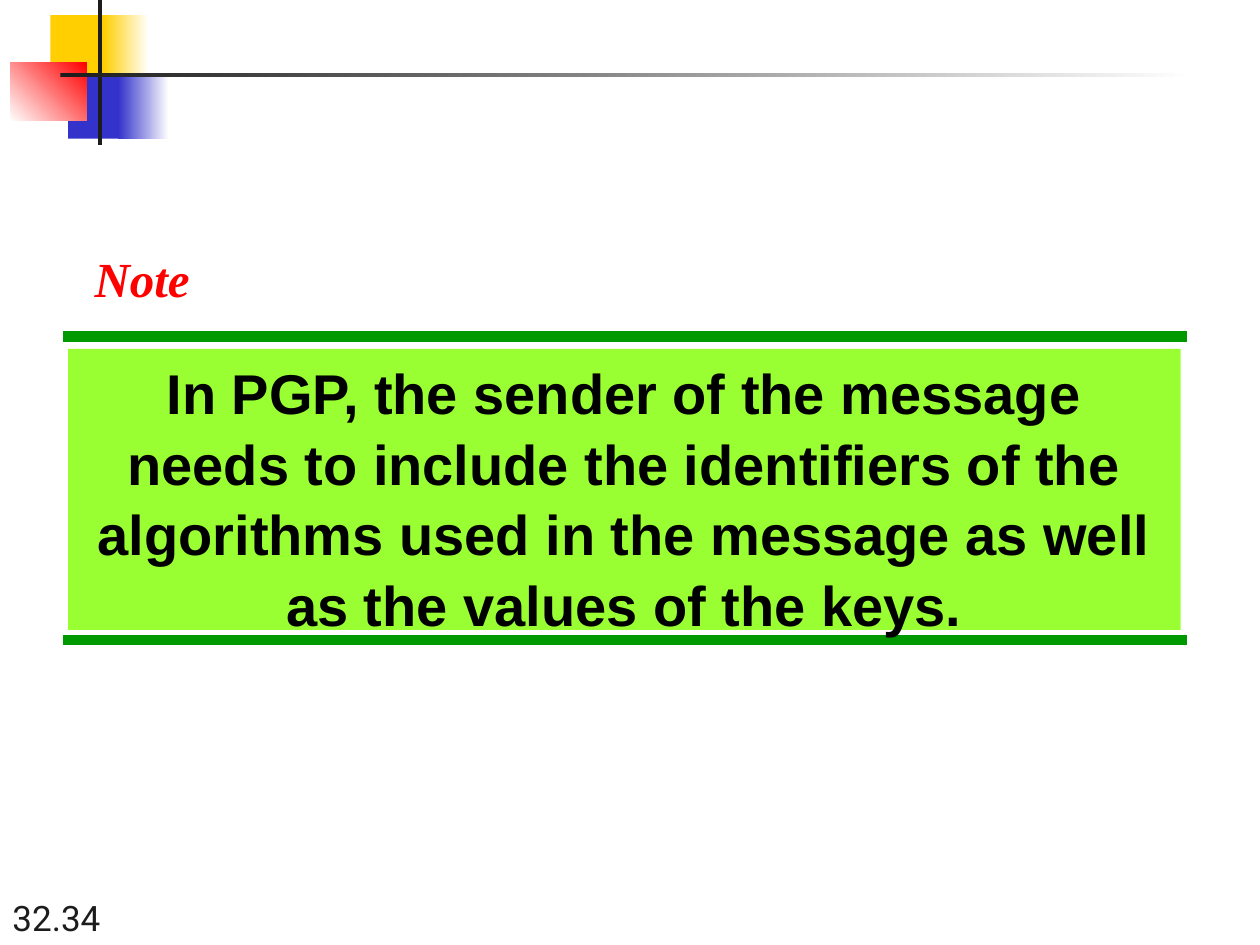
from dataclasses import dataclass
from typing import Optional

from lxml.etree import SubElement as Sub
from pptx import Presentation
from pptx.dml.color import RGBColor as Rgb
from pptx.enum.shapes import MSO_CONNECTOR as Conn, MSO_SHAPE as Kind
from pptx.enum.text import MSO_ANCHOR as Anchor, MSO_AUTO_SIZE as Auto, PP_ALIGN as Align
from pptx.oxml.ns import qn
from pptx.util import Inches, Pt

HUES = {
    "gold": "FFCF01", "blue": "3333CC", "red": "FF0000", "white": "FFFFFF",
    "ink": "1C1C1C", "green": "009900", "lime": "99FF33", "black": "000000",
}


@dataclass
class Block:
    left: float
    top: float
    width: float
    height: float
    hue: str
    fade: Optional[str] = None
    angle: float = 0


LOGO = [
    Block(0.4, 0.12, 0.48, 0.52, "gold"),
    Block(0.82, 0.12, 0.36, 0.52, "gold", "white"),
    Block(0.54, 0.58, 0.46, 0.52, "blue"),
    Block(0.94, 0.58, 0.4, 0.52, "blue", "white"),
    Block(0.08, 0.5, 0.61, 0.46, "white", "red", 45),
    Block(0.78, 0, 0.03, 1.15, "ink"),
    Block(0.48, 0.58, 9, 0.03, "ink", "white"),
]
PANEL = Block(0.54, 2.77, 8.83, 2.23, "lime")
RULES = (2.67, 5.08)
LINES = [
    "In PGP, the sender of the message needs to include the identifiers of the",
    "algorithms used in the message as well as the values of the keys.",
]


def tint(name: str) -> Rgb:
    return Rgb.from_string(HUES[name])


def draw(slide, block: Block):
    area = map(Inches, (block.left, block.top, block.width, block.height))
    shape = slide.shapes.add_shape(Kind.RECTANGLE, *area)
    shape.shadow.inherit = False
    shape.line.fill.background()
    fill = shape.fill
    if block.fade:
        fill.gradient()
        fill.gradient_angle = block.angle
        for stop, name in zip(fill.gradient_stops, (block.hue, block.fade)):
            stop.color.rgb = tint(name)
    else:
        fill.solid()
        fill.fore_color.rgb = tint(block.hue)
    return shape


def rule(slide, top: float) -> None:
    line = slide.shapes.add_connector(
        Conn.STRAIGHT, Inches(0.5), Inches(top), Inches(9.42), Inches(top))
    line.line.color.rgb = tint("green")
    line.line.width = Pt(6)
    Sub(line._element.spPr, qn("a:effectLst"))


def write(shape, lines: list[str], hue: str, font: dict, para: dict, frame: dict) -> None:
    body = shape.text_frame
    body.text = "\n".join(lines)
    for key, val in frame.items():
        setattr(body, key, val)
    for item in body.paragraphs:
        for key, val in para.items():
            setattr(item, key, val)
        for run in item.runs:
            for key, val in font.items():
                setattr(run.font, key, val)
            run.font.color.rgb = tint(hue)


def main() -> None:
    deck = Presentation()
    deck.slide_width, deck.slide_height = Inches(10), Inches(7.5)
    slide = deck.slides.add_slide(deck.slide_layouts[5])

    page = slide.shapes.add_textbox(Inches(0), Inches(7), Inches(2.08), Inches(0.5))
    write(page, ["32.34"], "ink", {"name": "Roboto", "size": Pt(20)},
          {"alignment": Align.LEFT},
          {"word_wrap": True, "vertical_anchor": Anchor.BOTTOM})

    for block in LOGO:
        draw(slide, block)
    for top in RULES:
        rule(slide, top)
    write(draw(slide, PANEL), LINES, "black",
          {"name": "Arial", "size": Pt(32), "bold": True},
          {"alignment": Align.CENTER, "line_spacing": 1.05},
          {"word_wrap": True, "vertical_anchor": Anchor.TOP})

    note = slide.shapes.title
    spot = {"left": 0.65, "top": 1.92, "width": 0.96, "height": 0.57}
    for key, val in spot.items():
        setattr(note, key, Inches(val))
    write(note, ["Note"], "red",
          {"name": "Times New Roman", "size": Pt(28), "bold": True, "italic": True},
          {"alignment": Align.LEFT},
          {"word_wrap": False, "vertical_anchor": Anchor.TOP, "auto_size": Auto.NONE})

    deck.save("out.pptx")


if __name__ == "__main__":
    main()
